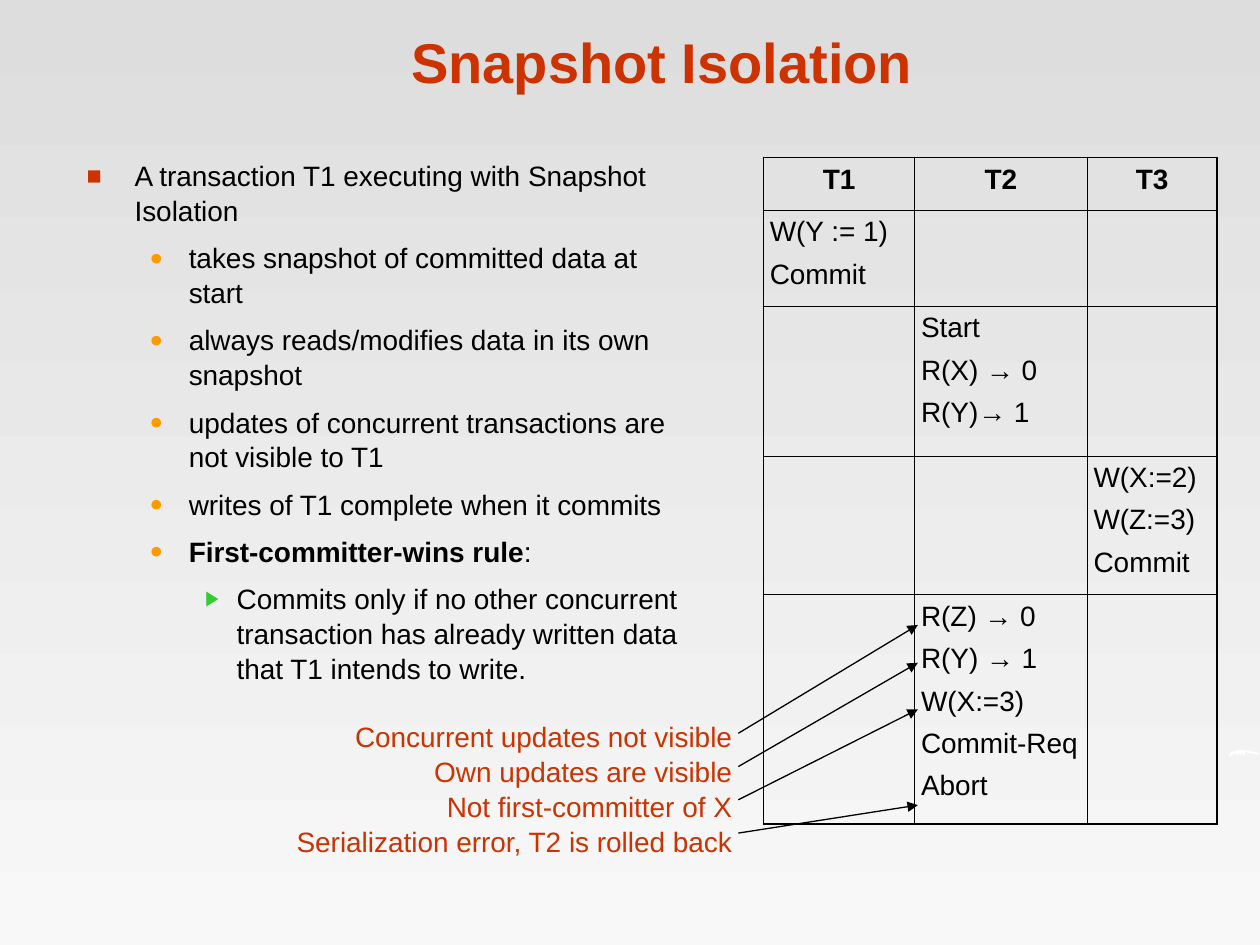
from lxml.etree import SubElement
from pptx import Presentation
from pptx.dml.color import RGBColor
from pptx.enum.shapes import MSO_CONNECTOR
from pptx.enum.text import MSO_ANCHOR, PP_ALIGN
from pptx.oxml import parse_xml
from pptx.oxml.ns import nsdecls, qn
from pptx.util import Inches, Pt

BLACK = RGBColor(0x00, 0x00, 0x00)
WHITE = RGBColor(0xFF, 0xFF, 0xFF)
RED = RGBColor(0xCC, 0x33, 0x00)
ORANGE = RGBColor(0xFF, 0x99, 0x00)
GREEN = RGBColor(0x33, 0xCC, 0x33)
BACKGROUND_TOP = RGBColor(0xDD, 0xDD, 0xDD)
BACKGROUND_BOTTOM = RGBColor(0xF8, 0xF8, 0xF8)

WIDTH, HEIGHT = Inches(10), Inches(7.5)
COLUMN, ROW = WIDTH / 100, HEIGHT / 75
FONT = "Arial"
BODY_SIZE = 16
LINE_SPACING = 1.04

BULLET_LEVELS = [
    ("■", RED, 90, 3.8, 3.8),
    ("●", ORANGE, 80, 8.1, 3.1),
    ("▶", GREEN, 75, 11.9, 2.5),
]
BULLETS = [
    (0, [("A transaction T1 executing with Snapshot Isolation", False)]),
    (1, [("takes snapshot of committed data at start", False)]),
    (1, [("always reads/modifies data in its own snapshot", False)]),
    (1, [("updates of concurrent transactions are not visible to T1", False)]),
    (1, [("writes of T1 complete when it commits", False)]),
    (1, [("First-committer-wins rule", True), (":", False)]),
    (2, [("Commits only if no other concurrent transaction has already "
          "written data that T1 intends to write.", False)]),
]
SCHEDULE_COLUMNS = [12, 13.7, 10.3]
SCHEDULE_ROWS = [4.2, 7.6, 11.9, 11, 18.2]
SCHEDULE = [
    [["T1"], ["T2"], ["T3"]],
    [["W(Y := 1)", "Commit"], [], []],
    [[], ["Start", "R(X) → 0", "R(Y)→ 1"], []],
    [[], [], ["W(X:=2)", "W(Z:=3)", "Commit"]],
    [[], ["R(Z) → 0", "R(Y) → 1", "W(X:=3)", "Commit-Req", "Abort"], []],
]
CALLOUTS = [
    ("Concurrent updates not visible", 49.6),
    ("Own updates are visible", 52.6),
    ("Not first-committer of X", 56.3),
    ("Serialization error, T2 is rolled back", 63.9),
]
SWOOSH = [
    (97.5, 60.1), (97.7, 59.7), (98, 59.6), (98.5, 59.5), (99.2, 59.6),
    (100, 59.8), (99.8, 59.9), (99.3, 59.8), (98.8, 59.7), (98.8, 60),
    (98.5, 59.7), (98.5, 60), (98.2, 59.7), (98.3, 60), (98, 59.8),
]


def columns(count):
    """Return the length of a number of grid columns."""
    return round(count * COLUMN)


def rows(count):
    """Return the length of a number of grid rows."""
    return round(count * ROW)


def add_run(paragraph, text, color=BLACK, bold=False, size=BODY_SIZE):
    """Append one formatted run to a paragraph."""
    run = paragraph.add_run()
    run.text = text
    run.font.name = FONT
    run.font.size = Pt(size)
    run.font.bold = bold
    run.font.color.rgb = color


def add_paragraph(frame, index, space=0):
    """Return the paragraph at an index, spaced from the one before."""
    if index == 0:
        return frame.paragraphs[0]
    paragraph = frame.add_paragraph()
    paragraph.space_before = Pt(space)
    return paragraph


def add_text_frame(slide, left, top, width, height):
    """Add a wrapping text box and return its text frame."""
    box = slide.shapes.add_textbox(columns(left), rows(top), columns(width), rows(height))
    box.text_frame.word_wrap = True
    return box.text_frame


def set_bullet(paragraph, level):
    """Give a paragraph the bullet and indent of its level."""
    character, color, percent, margin, hanging = BULLET_LEVELS[level]
    paragraph.level = level
    properties = paragraph._p.get_or_add_pPr()
    properties.set("marL", str(columns(margin)))
    properties.set("indent", str(-columns(hanging)))
    bullet_color = SubElement(properties, qn("a:buClr"))
    SubElement(bullet_color, qn("a:srgbClr"), val=str(color))
    SubElement(properties, qn("a:buSzPct"), val=str(percent * 1000))
    SubElement(properties, qn("a:buFont"), typeface=FONT)
    SubElement(properties, qn("a:buChar"), char=character)


def set_background(slide):
    """Fill the slide with a vertical grey gradient."""
    fill = slide.background.fill
    fill.gradient()
    fill.gradient_angle = 270
    for stop, color in zip(fill.gradient_stops, (BACKGROUND_TOP, BACKGROUND_BOTTOM)):
        stop.color.rgb = color


def add_swoosh(slide):
    """Draw the white flourish at the right edge."""
    points = [(columns(x), rows(y)) for x, y in SWOOSH]
    builder = slide.shapes.build_freeform(*points[0])
    builder.add_line_segments(points[1:], close=True)
    shape = builder.convert_to_shape()
    shape.shadow.inherit = False
    shape.fill.solid()
    shape.fill.fore_color.rgb = WHITE
    shape.line.fill.background()


def add_title(slide, text):
    """Add the centred slide title."""
    frame = add_text_frame(slide, 8.4, 1.3, 88.3, 6.7)
    frame.vertical_anchor = MSO_ANCHOR.BOTTOM
    paragraph = frame.paragraphs[0]
    paragraph.alignment = PP_ALIGN.CENTER
    add_run(paragraph, text, RED, True, 32)


def add_bullets(slide):
    """Add the bulleted list."""
    frame = add_text_frame(slide, 5.9, 12, 49.7, 57.9)
    for index, (level, parts) in enumerate(BULLETS):
        paragraph = add_paragraph(frame, index, 7)
        paragraph.line_spacing = LINE_SPACING
        set_bullet(paragraph, level)
        for text, bold in parts:
            add_run(paragraph, text, bold=bold)


def set_borders(cell, outer_sides):
    """Draw the cell borders, thicker on the outer sides."""
    properties = cell._tc.get_or_add_tcPr()
    for position, side in enumerate("LRTB"):
        width = Pt(1.08 if side in outer_sides else 0.45)
        properties.insert(position, parse_xml(
            f'<a:ln{side} {nsdecls("a")} w="{width}"><a:solidFill>'
            f'<a:srgbClr val="{BLACK}"/></a:solidFill></a:ln{side}>'))


def add_schedule(slide):
    """Add the table of the three transactions."""
    last_row, last_column = len(SCHEDULE_ROWS) - 1, len(SCHEDULE_COLUMNS) - 1
    table = slide.shapes.add_table(
        last_row + 1, last_column + 1, columns(60.6), rows(12.5),
        columns(sum(SCHEDULE_COLUMNS)), rows(sum(SCHEDULE_ROWS))).table
    table.first_row = table.horz_banding = False
    for column, width in zip(table.columns, SCHEDULE_COLUMNS):
        column.width = columns(width)
    for row_index, (row, height) in enumerate(zip(table.rows, SCHEDULE_ROWS)):
        row.height = rows(height)
        for column_index, cell in enumerate(row.cells):
            cell.margin_left = cell.margin_right = columns(0.5)
            cell.margin_top = cell.margin_bottom = rows(0.5)
            cell.fill.background()
            outer = {"T": row_index == 0, "B": row_index == last_row,
                     "L": column_index == 0, "R": column_index == last_column}
            set_borders(cell, [side for side, on_edge in outer.items() if on_edge])
            for index, text in enumerate(SCHEDULE[row_index][column_index]):
                paragraph = add_paragraph(cell.text_frame, index, 6.5)
                if row_index == 0:
                    paragraph.alignment = PP_ALIGN.CENTER
                add_run(paragraph, text, bold=row_index == 0)


def add_arrow(slide, start, end):
    """Draw a thin arrow between two grid points."""
    connector = slide.shapes.add_connector(
        MSO_CONNECTOR.STRAIGHT, columns(start[0]), rows(start[1]), columns(end[0]), rows(end[1]))
    connector.line.color.rgb = BLACK
    connector.line.width = Pt(0.75)
    SubElement(connector.line._get_or_add_ln(), qn("a:tailEnd"), type="triangle")
    SubElement(connector._element.spPr, qn("a:effectLst"))


def add_callouts(slide):
    """Add the red remarks and their arrows into the table."""
    frame = add_text_frame(slide, 22.4, 56.5, 36.7, 11.7)
    for index, (text, target) in enumerate(CALLOUTS):
        paragraph = add_paragraph(frame, index)
        paragraph.alignment = PP_ALIGN.RIGHT
        paragraph.line_spacing = LINE_SPACING
        add_run(paragraph, text, RED)
        add_arrow(slide, (58.6, 58.2 + 2.64 * index), (72.85, target))


def main():
    """Build the slide and save it."""
    presentation = Presentation()
    presentation.slide_width, presentation.slide_height = WIDTH, HEIGHT
    slide = presentation.slides.add_slide(presentation.slide_layouts[6])
    set_background(slide)
    add_swoosh(slide)
    add_title(slide, "Snapshot Isolation")
    add_bullets(slide)
    add_schedule(slide)
    add_callouts(slide)
    presentation.save("out.pptx")


if __name__ == "__main__":
    main()
